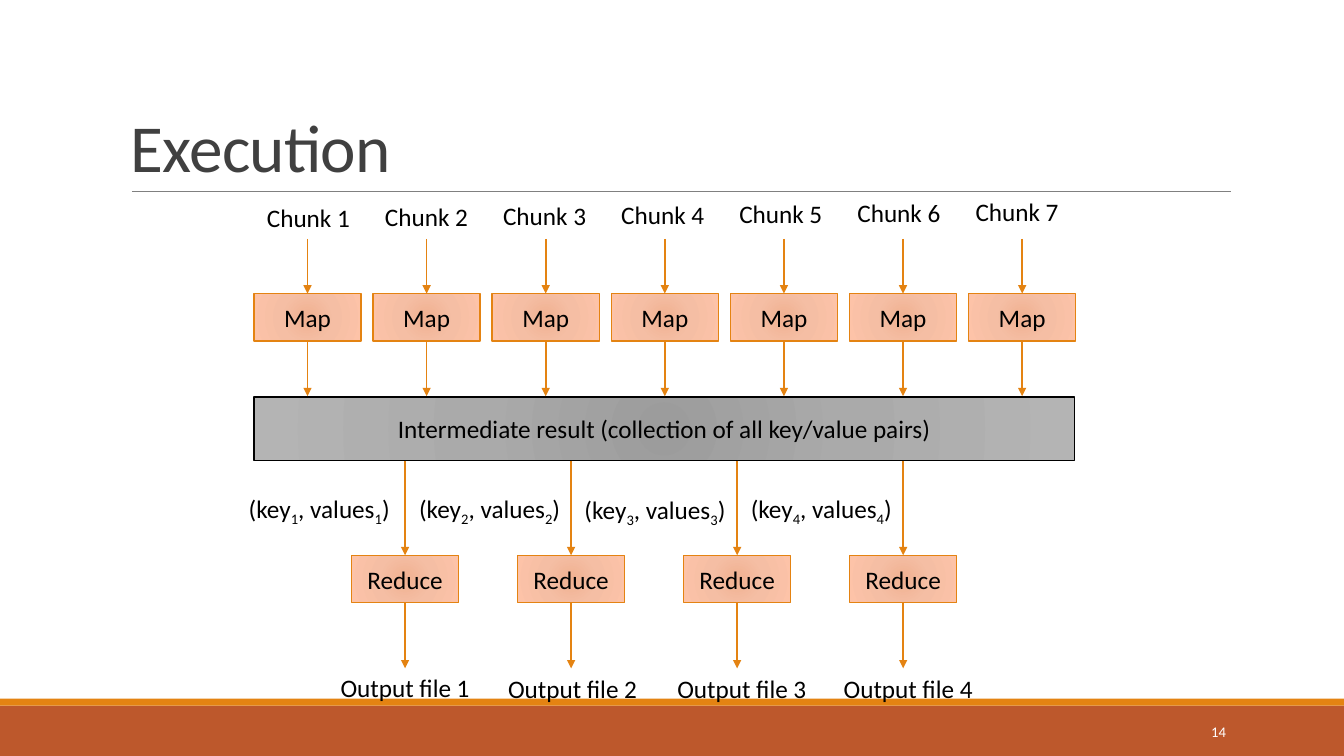
from dataclasses import dataclass

from lxml.etree import SubElement
from pptx import Presentation
from pptx.dml.color import RGBColor
from pptx.enum.shapes import MSO_CONNECTOR, MSO_SHAPE
from pptx.enum.text import MSO_ANCHOR, MSO_AUTO_SIZE, PP_ALIGN
from pptx.oxml import parse_xml
from pptx.oxml.ns import nsdecls, qn
from pptx.shapes.autoshape import Shape
from pptx.shapes.connector import Connector
from pptx.shapes.shapetree import SlideShapes
from pptx.util import Pt

FONT = "Calibri"
BLACK = RGBColor(0x00, 0x00, 0x00)
WHITE = RGBColor(0xFF, 0xFF, 0xFF)
TITLE_GRAY = RGBColor(0x40, 0x40, 0x40)
RULE_GRAY = RGBColor(0x80, 0x80, 0x80)
ORANGE = RGBColor(0xE4, 0x83, 0x12)
RUST = RGBColor(0xBD, 0x58, 0x2C)
PEACH_STOPS = (RGBColor(0xF0, 0xB1, 0x91), RGBColor(0xF5, 0xBE, 0xA4), RGBColor(0xFD, 0xC3, 0xA8))
GRAY_STOPS = (RGBColor(0x9C, 0x9C, 0x9C), RGBColor(0xAA, 0xAA, 0xAA), RGBColor(0xB4, 0xB4, 0xB4))

BOX_W, BOX_H = 76.5, 34
LABEL_H = 29.1
BAR_TOP, BAR_H = 283.7, 45.4


@dataclass
class Row:
    """A row of equal boxes, spaced evenly."""
    text: str
    count: int
    left: float
    step: float
    top: float


@dataclass
class Label:
    text: str
    left: float
    top: float
    width: float
    align: PP_ALIGN = PP_ALIGN.CENTER


MAPS = Row("Map", 7, 181.4, 85.08, 209.7)
REDUCES = Row("Reduce", 4, 251.1, 118.6, 396.6)

CHUNKS = [Label(f"Chunk {i + 1}", 182.9 + 84.36 * i, 141.1 - 0.72 * i, 74.9) for i in range(7)]
OUTPUTS = [Label(f"Output file {i}", left, top, 108)
           for i, (left, top) in enumerate([(235.4, 476.6), (355, 477.4), (475.9, 477.4), (594.7, 477.4)], 1)]
# Text between underscores is set as subscript.
KEYS = [Label(f"(key_{i}_, values_{i}_)", left, top, 118.1, PP_ALIGN.LEFT)
        for i, (left, top) in enumerate([(170.6, 348.5), (292.3, 348.5), (410.4, 349.2), (529.2, 348.5)], 1)]


def add_plain_bar(shapes: SlideShapes, top: float, height: float, color: RGBColor) -> None:
    s = shapes.add_shape(MSO_SHAPE.RECTANGLE, Pt(0), Pt(top), Pt(960), Pt(height))
    s.shadow.inherit = False
    s.fill.solid()
    s.fill.fore_color.rgb = color
    s.line.fill.background()


def add_box(shapes: SlideShapes, text: str, left: float, top: float, width: float, height: float,
            stops: tuple[RGBColor, ...], line: RGBColor) -> Shape:
    s = shapes.add_shape(MSO_SHAPE.RECTANGLE, Pt(left), Pt(top), Pt(width), Pt(height))
    s.shadow.inherit = False
    s.line.color.rgb = line
    s.line.width = Pt(1)
    set_radial_fill(s, stops)
    tf = s.text_frame
    tf.text = text
    tf.vertical_anchor = MSO_ANCHOR.MIDDLE
    tf.paragraphs[0].alignment = PP_ALIGN.CENTER
    set_font(tf.paragraphs[0].runs[0], 18, BLACK)
    return s


def set_radial_fill(s: Shape, stops: tuple[RGBColor, ...]) -> None:
    s.fill.solid()
    gs = "".join(f'<a:gs pos="{pos}"><a:srgbClr val="{color}"/></a:gs>'
                 for pos, color in zip((0, 45000, 100000), stops))
    gradient = parse_xml(
        f'<a:gradFill {nsdecls("a")} rotWithShape="1"><a:gsLst>{gs}</a:gsLst><a:path path="circle">'
        '<a:fillToRect l="100000" t="100000" r="100000" b="100000"/></a:path></a:gradFill>')
    props = s._element.spPr
    props.replace(props.find(qn("a:solidFill")), gradient)


def set_font(r, size: float, color: RGBColor) -> None:
    r.font.name = FONT
    r.font.size = Pt(size)
    r.font.color.rgb = color


def add_line(shapes: SlideShapes, x1: float, y1: float, x2: float, y2: float,
             color: RGBColor, width: float) -> Connector:
    c = shapes.add_connector(MSO_CONNECTOR.STRAIGHT, Pt(x1), Pt(y1), Pt(x2), Pt(y2))
    c.line.color.rgb = color
    c.line.width = Pt(width)
    SubElement(c._element.spPr, qn("a:effectLst"))
    return c


def add_arrow(shapes: SlideShapes, x: float, top: float, bottom: float) -> Connector:
    c = add_line(shapes, x, top, x, bottom, ORANGE, 1.25)
    SubElement(c.line._get_or_add_ln(), qn("a:tailEnd"), type="triangle")
    return c


def add_row(shapes: SlideShapes, row: Row, arrow_from: float, arrow_to: float) -> None:
    """Draw the boxes, each with an arrow into its top and one out of its bottom."""
    for i in range(row.count):
        left = row.left + row.step * i
        x = left + BOX_W / 2
        box = add_box(shapes, row.text, left, row.top, BOX_W, BOX_H, PEACH_STOPS, ORANGE)
        add_arrow(shapes, x, arrow_from, row.top).end_connect(box, 0)
        add_arrow(shapes, x, row.top + BOX_H, arrow_to).begin_connect(box, 2)


def add_label(shapes: SlideShapes, label: Label) -> None:
    tf = shapes.add_textbox(Pt(label.left), Pt(label.top), Pt(label.width), Pt(LABEL_H)).text_frame
    tf.word_wrap = False
    tf.auto_size = MSO_AUTO_SIZE.SHAPE_TO_FIT_TEXT
    p = tf.paragraphs[0]
    p.alignment = label.align
    for i, part in enumerate(label.text.split("_")):
        r = p.add_run()
        r.text = part
        set_font(r, 18, BLACK)
        if i % 2:
            r.font._element.set("baseline", "-25000")


def add_title(shapes: SlideShapes) -> None:
    tf = shapes.add_textbox(Pt(86.4), Pt(22.6), Pt(792), Pt(114.2)).text_frame
    tf.word_wrap = True
    tf.vertical_anchor = MSO_ANCHOR.BOTTOM
    tf.text = "Execution"
    p = tf.paragraphs[0]
    p.line_spacing = 0.85
    set_font(p.runs[0], 48, TITLE_GRAY)
    p.runs[0].font._element.set("spc", "-50")


def add_slide_number(shapes: SlideShapes) -> None:
    tf = shapes.add_textbox(Pt(779.8), Pt(508.4), Pt(103), Pt(28.8)).text_frame
    tf.word_wrap = True
    tf.vertical_anchor = MSO_ANCHOR.MIDDLE
    tf.text = "14"
    p = tf.paragraphs[0]
    p.alignment = PP_ALIGN.RIGHT
    set_font(p.runs[0], 10.5, WHITE)


def main() -> None:
    prs = Presentation()
    prs.slide_width, prs.slide_height = Pt(960), Pt(540)
    shapes = prs.slides.add_slide(prs.slide_layouts[6]).shapes

    add_plain_bar(shapes, 504, 36, RUST)
    add_plain_bar(shapes, 499, 5, ORANGE)
    add_line(shapes, 94.3, 136.8, 879.1, 136.8, RULE_GRAY, 0.5)
    add_title(shapes)
    add_slide_number(shapes)

    add_box(shapes, "Intermediate result (collection of all key/value pairs)",
            MAPS.left, BAR_TOP, 586, BAR_H, GRAY_STOPS, BLACK)
    add_row(shapes, MAPS, 170.6, BAR_TOP - 0.7)
    add_row(shapes, REDUCES, BAR_TOP + BAR_H, 477.4)
    for label in CHUNKS + KEYS + OUTPUTS:
        add_label(shapes, label)

    prs.save("out.pptx")


if __name__ == "__main__":
    main()
